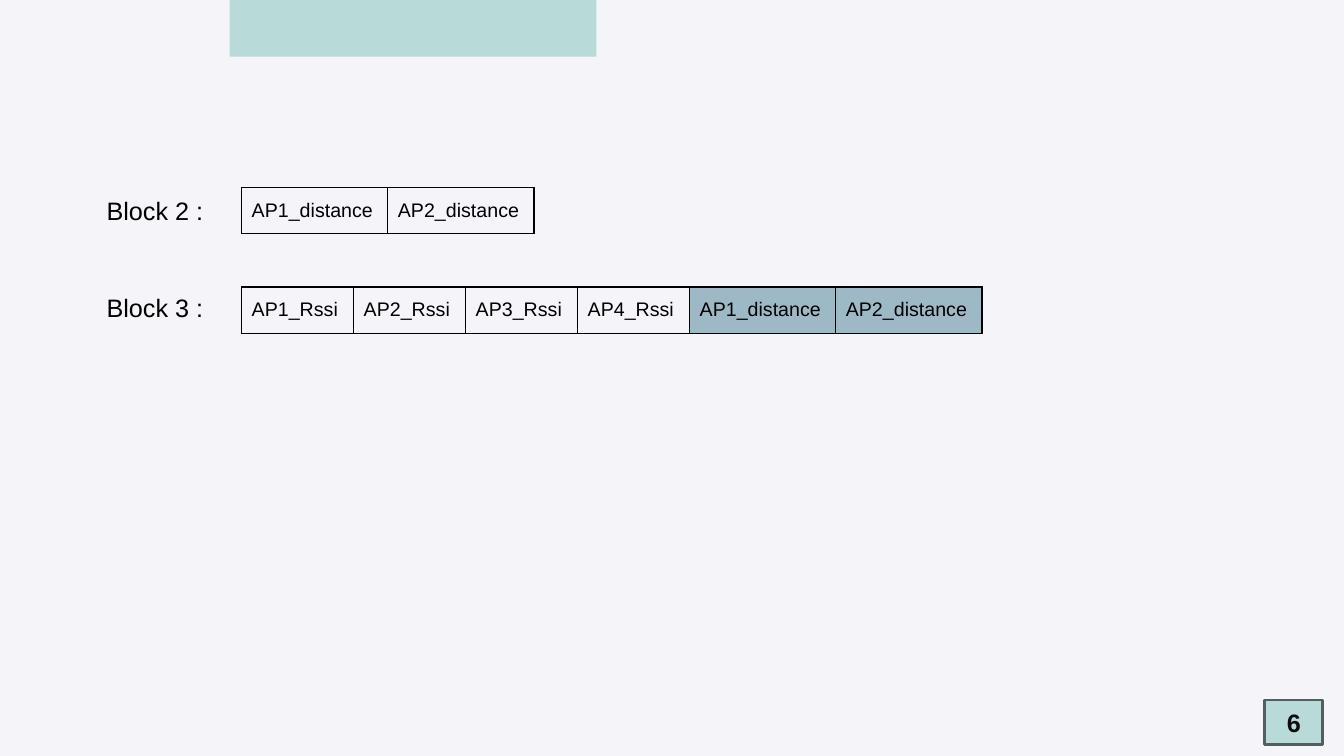
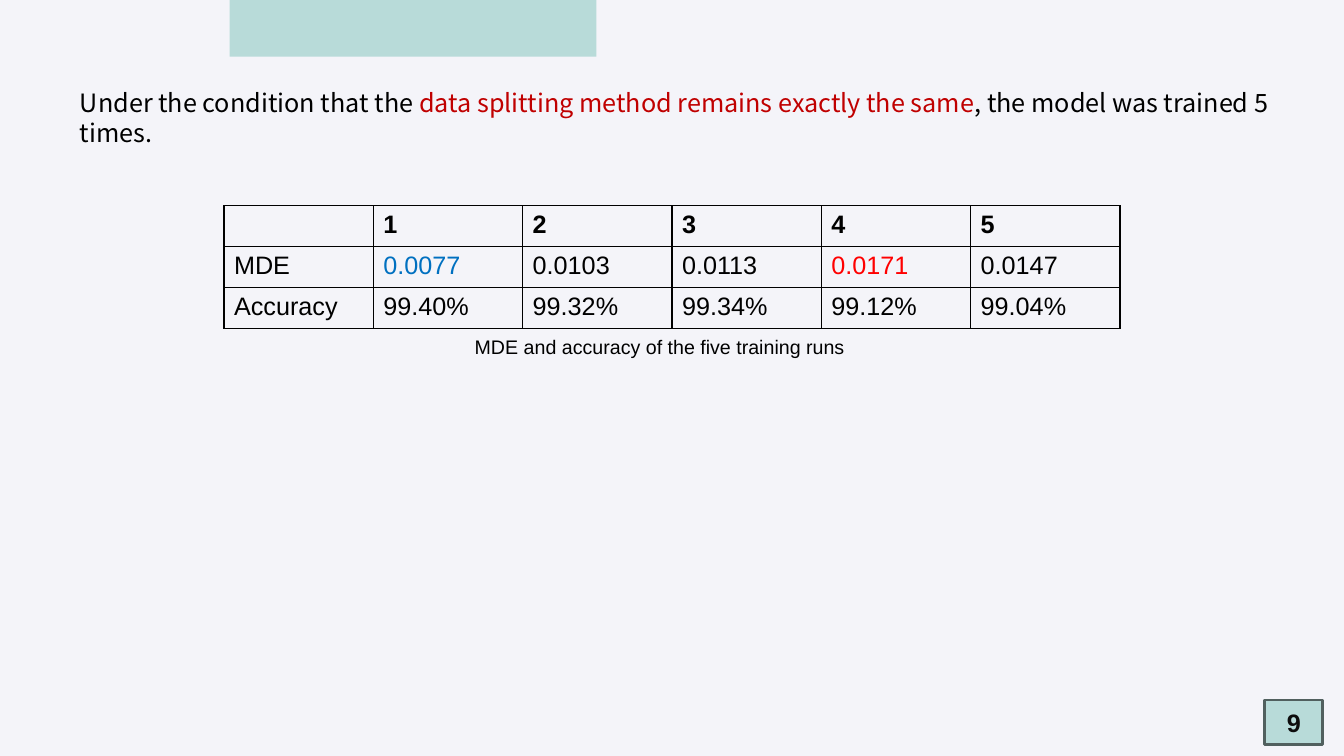
from lxml.etree import SubElement
from pptx import Presentation
from pptx.dml.color import RGBColor
from pptx.enum.shapes import MSO_SHAPE as SHAPE
from pptx.enum.text import MSO_ANCHOR as ANCHOR, PP_ALIGN as ALIGN
from pptx.oxml.ns import qn
from pptx.util import Pt

# Shared style
BACKGROUND = RGBColor(0xF4, 0xF4, 0xF9)
MINT = RGBColor(0xB8, 0xDB, 0xD9)
BADGE_LINE = RGBColor(0x51, 0x60, 0x5F)
BADGE_TEXT = RGBColor(0x0D, 0x0D, 0x0D)
STEEL = RGBColor(0x9E, 0xB9, 0xC6)
BLACK = RGBColor(0, 0, 0)
DARK_RED = RGBColor(0xC0, 0, 0)
RED = RGBColor(0xFF, 0, 0)
BLUE = RGBColor(0, 0x70, 0xC0)
FONT = "Arial"
STATEMENT_FONT = "Noto Sans CJK SC"


def add_run(p, text, size=18, color=BLACK, bold=False, font=FONT):
    r = p.add_run()
    r.text = text
    r.font.name = font
    r.font.size = Pt(size)
    r.font.bold = bold
    r.font.color.rgb = color


def add_box(s, left, top, width, height):
    """Add a wrapping text box and return its first paragraph."""
    tf = s.shapes.add_textbox(Pt(left), Pt(top), Pt(width), Pt(height)).text_frame
    tf.word_wrap = True
    return tf.paragraphs[0]


def add_rect(s, left, top, width, height):
    sp = s.shapes.add_shape(SHAPE.RECTANGLE, Pt(left), Pt(top), Pt(width), Pt(height))
    sp.shadow.inherit = False
    sp.fill.solid()
    sp.fill.fore_color.rgb = MINT
    sp.line.fill.background()
    return sp


def add_slide(prs, number):
    """Add a slide with the top band and the number badge."""
    s = prs.slides.add_slide(prs.slide_layouts[6])
    add_rect(s, 164, 0, 262, 40.5)
    badge = add_rect(s, 903.5, 500, 41.5, 32)
    badge.line.color.rgb = BADGE_LINE
    badge.line.width = Pt(2)
    tf = badge.text_frame
    tf.vertical_anchor = ANCHOR.MIDDLE
    p = tf.paragraphs[0]
    p.alignment = ALIGN.CENTER
    add_run(p, str(number), color=BADGE_TEXT, bold=True)
    return s


def set_borders(cell):
    tc_pr = cell._tc.get_or_add_tcPr()
    for side in ("a:lnL", "a:lnR", "a:lnT", "a:lnB"):
        ln = SubElement(tc_pr, qn(side), w=str(Pt(1)))
        fill = SubElement(ln, qn("a:solidFill"))
        SubElement(fill, qn("a:srgbClr"), val=str(BLACK))


def add_grid(s, left, top, widths, row_height, rows, size=18, anchor=ANCHOR.TOP,
             header=False, fills=None, colors=None):
    """Add a bordered table; fills and colors map cell text to a colour."""
    fills, colors = fills or {}, colors or {}
    table = s.shapes.add_table(len(rows), len(widths), Pt(left), Pt(top),
                               Pt(sum(widths)), Pt(row_height * len(rows))).table
    table.first_row = table.horz_banding = False
    for column, width in zip(table.columns, widths):
        column.width = Pt(width)
    for i, texts in enumerate(rows):
        table.rows[i].height = Pt(row_height)
        for j, text in enumerate(texts):
            cell = table.cell(i, j)
            cell.vertical_anchor = anchor
            set_borders(cell)
            if text in fills:
                cell.fill.solid()
                cell.fill.fore_color.rgb = fills[text]
            else:
                cell.fill.background()
            if text:
                add_run(cell.text_frame.paragraphs[0], text, size,
                        colors.get(text, BLACK), header and i == 0)


def build_blocks(prs):
    s = add_slide(prs, 6)
    rssi = [f"AP{n}_Rssi" for n in range(1, 5)]
    distance = [f"AP{n}_distance" for n in (1, 2)]
    blocks = (
        ("Block 2 :", 136, 134, distance, {}),
        ("Block 3 :", 205, 205, rssi + distance, dict.fromkeys(distance, STEEL)),
    )
    for label, label_top, top, names, fills in blocks:
        add_run(add_box(s, 69, label_top, 95, 29), label)
        widths = [80 if name in rssi else 104.4 for name in names]
        add_grid(s, 172.6, top, widths, 33, [names], size=14,
                 anchor=ANCHOR.MIDDLE, fills=fills)


def build_results(prs):
    s = add_slide(prs, 9)
    # Statement
    p = add_box(s, 50, 59, 866, 51)
    p.line_spacing = Pt(21.3)
    for text, color in (
        ("Under the condition that the ", BLACK),
        ("data splitting method remains exactly the same", DARK_RED),
        (", the model was trained 5 times.", BLACK),
    ):
        add_run(p, text, color=color, font=STATEMENT_FONT)
    # Results of the runs
    rows = [
        ["", "1", "2", "3", "4", "5"],
        ["MDE", "0.0077", "0.0103", "0.0113", "0.0171", "0.0147"],
        ["Accuracy", "99.40%", "99.32%", "99.34%", "99.12%", "99.04%"],
    ]
    add_grid(s, 160, 147, [106.67] * 6, 29.2, rows, header=True,
             colors={"0.0077": BLUE, "0.0171": RED})
    # Caption
    add_run(add_box(s, 332, 235.5, 432, 24), "MDE and accuracy of the five training runs", 14)


def main():
    prs = Presentation()
    prs.slide_width, prs.slide_height = Pt(960), Pt(540)
    background = prs.slide_master.background.fill
    background.solid()
    background.fore_color.rgb = BACKGROUND
    build_blocks(prs)
    build_results(prs)
    prs.save("out.pptx")


if __name__ == "__main__":
    main()
